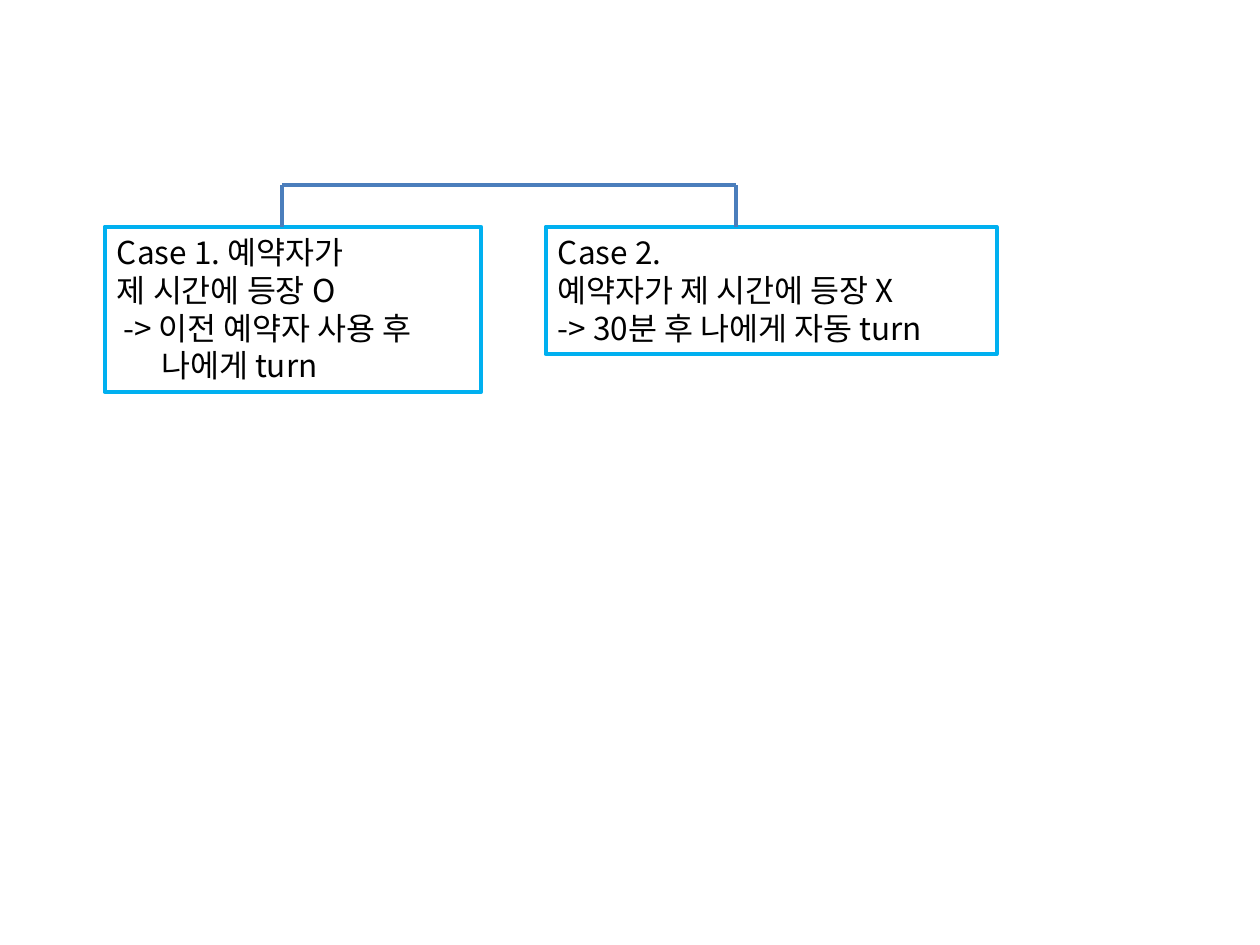
from lxml import etree
from pptx import Presentation
from pptx import util as u
from pptx.dml.color import RGBColor
from pptx.enum import shapes, text
from pptx.oxml.ns import qn

# Content: each line is (text, left indent in inches)
CASES = [
    {"box": (0.83, 1.8, 2.99, 1.31), "stem": 2.24,
     "lines": [("Case 1. 예약자가", 0), ("제 시간에 등장 O", 0),
               ("-> 이전 예약자 사용 후", 0.05), ("나에게 turn", 0.35)]},
    {"box": (4.33, 1.8, 3.58, 1.01), "stem": 5.84,
     "lines": [("Case 2.", 0), ("예약자가 제 시간에 등장 X", 0),
               ("-> 30분 후 나에게 자동 turn", 0)]},
]
BRACKET_TOP, BOX_TOP = 1.47, 1.8
COLORS = {"border": "00B0F0", "bracket": "4B7EBC", "text": "000000"}
FONT = "Noto Sans CJK KR"
FONT_FORMAT = {"name": FONT, "size": u.Pt(18)}
FRAME_FORMAT = {"word_wrap": True,
                "auto_size": text.MSO_AUTO_SIZE.SHAPE_TO_FIT_TEXT,
                "vertical_anchor": text.MSO_ANCHOR.TOP}


def set_line(line, color):
    line.color.rgb = RGBColor.from_string(COLORS[color])
    line.width = u.Pt(2.25)


def add_case(slide, case):
    box = slide.shapes.add_textbox(*map(u.Inches, case["box"]))
    set_line(box.line, "border")
    frame = box.text_frame
    for key, value in FRAME_FORMAT.items():
        setattr(frame, key, value)
    for i, (words, indent) in enumerate(case["lines"]):
        paragraph = frame.paragraphs[0] if i == 0 else frame.add_paragraph()
        if indent:
            paragraph._p.get_or_add_pPr().set("marL", str(u.Inches(indent)))
        run = paragraph.add_run()
        run.text = words
        for key, value in FONT_FORMAT.items():
            setattr(run.font, key, value)
        run.font.color.rgb = RGBColor.from_string(COLORS["text"])
        # Korean letters take the East Asian font
        etree.SubElement(run._r.get_or_add_rPr(), qn("a:ea"), typeface=FONT)


def add_bracket_line(slide, start, end):
    connector = slide.shapes.add_connector(
        shapes.MSO_CONNECTOR.STRAIGHT, *map(u.Inches, start + end))
    set_line(connector.line, "bracket")
    etree.SubElement(connector._element.spPr, qn("a:effectLst"))


def main():
    prs = Presentation()
    prs.slide_width, prs.slide_height = u.Inches(10), u.Inches(7.5)
    slide = prs.slides.add_slide(prs.slide_layouts[6])

    # Case boxes
    for case in CASES:
        add_case(slide, case)

    # Bracket joining the cases
    stems = [case["stem"] for case in CASES]
    for x in stems:
        add_bracket_line(slide, (x, BOX_TOP), (x, BRACKET_TOP))
    add_bracket_line(slide, (stems[0], BRACKET_TOP), (stems[-1], BRACKET_TOP))

    prs.save("out.pptx")


if __name__ == "__main__":
    main()
